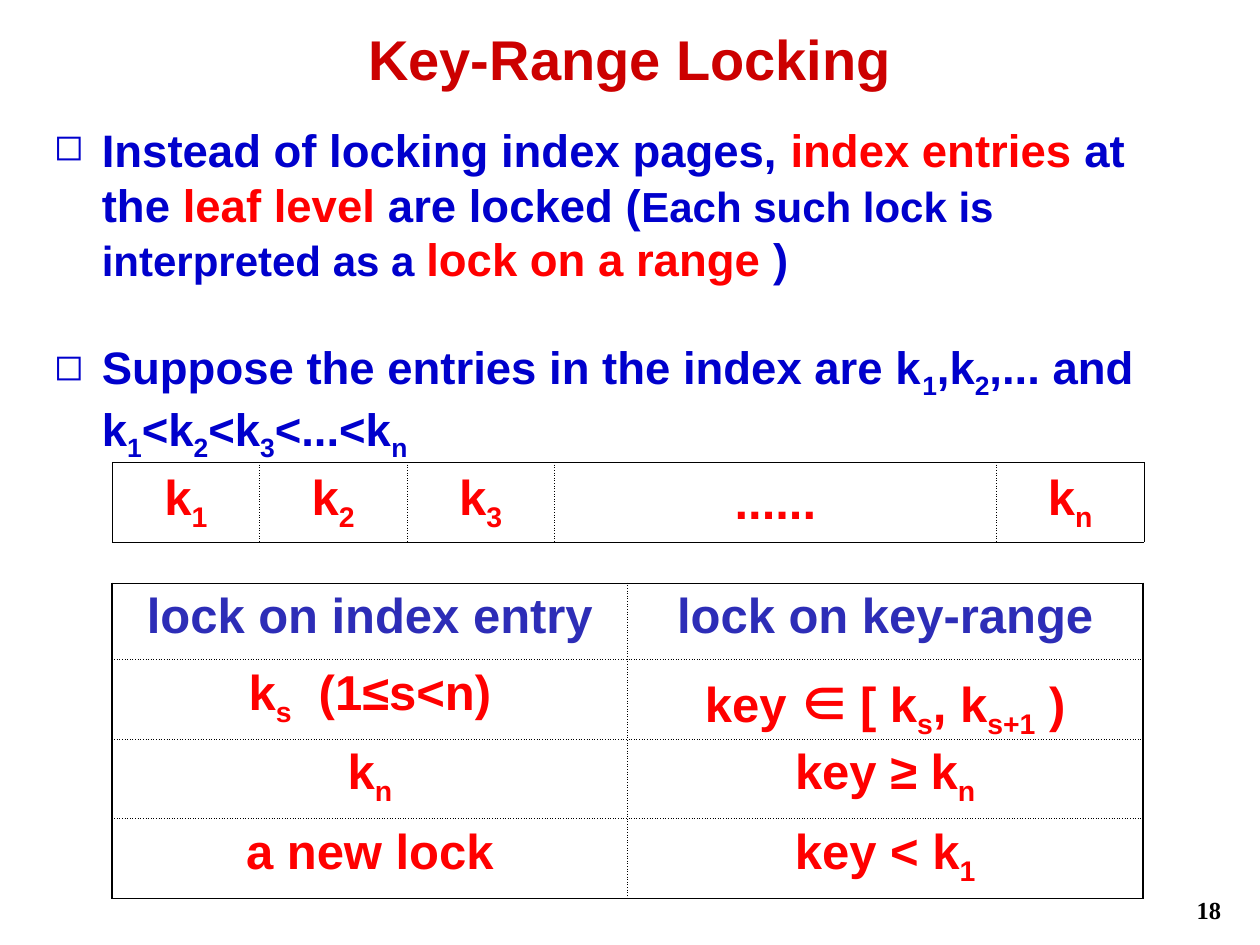
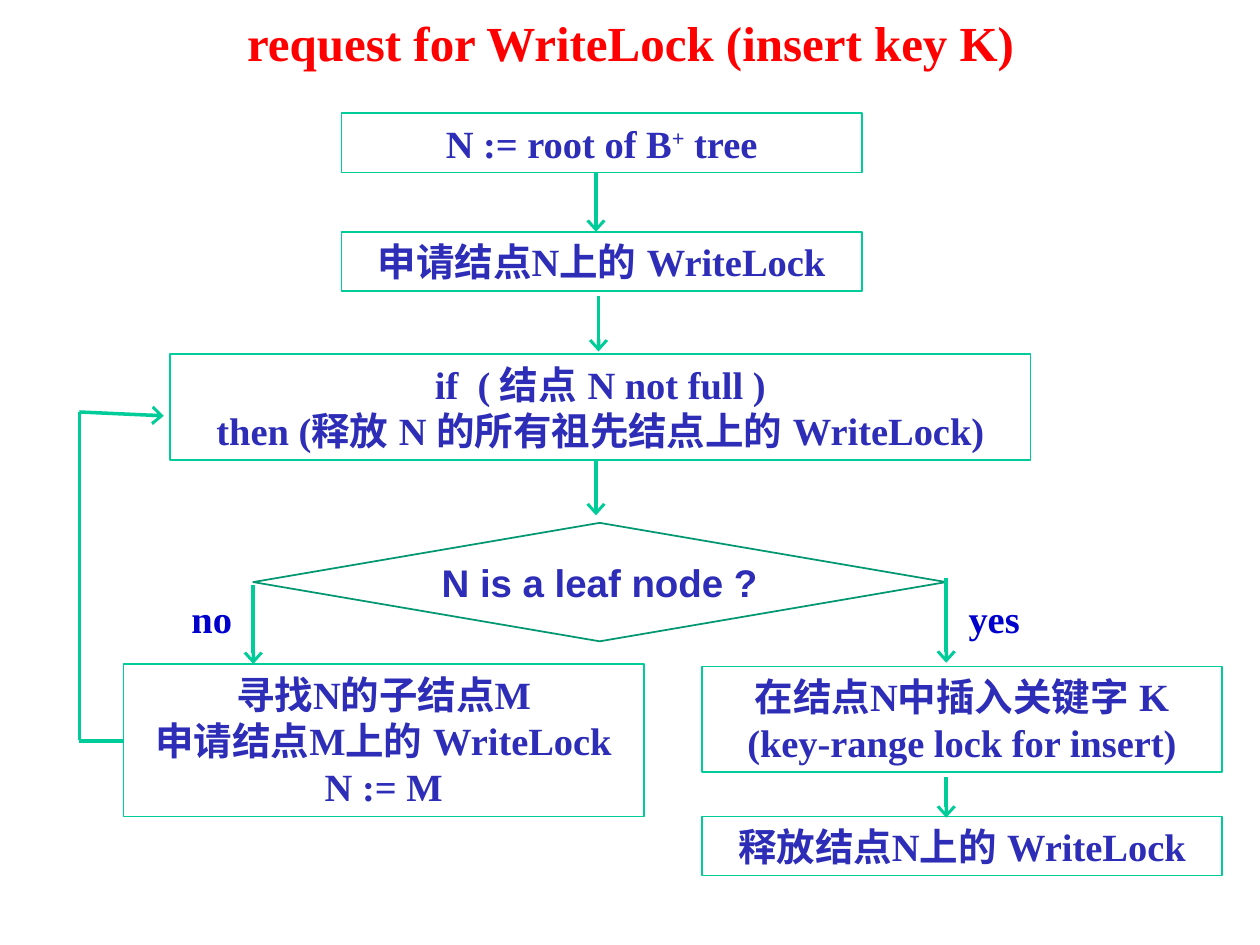
from lxml.etree import SubElement
from pptx import Presentation
from pptx.dml.color import RGBColor
from pptx.enum.shapes import MSO_CONNECTOR as Connector, MSO_SHAPE as Preset
from pptx.enum.text import MSO_ANCHOR as Anchor, MSO_AUTO_SIZE as AutoSize, PP_ALIGN as Align
from pptx.oxml.ns import qn
from pptx.util import Inches, Pt

# Shared look
SANS, SERIF, CJK = "Arial", "Times New Roman", "Noto Sans CJK SC"
BLACK, RED, DARK_RED = "000000", "FF0000", "CC0000"
BLUE, INDIGO, GREEN, DARK_GREEN = "0000CC", "2D2DB7", "00CC99", "009771"
SUBSCRIPT, SUPERSCRIPT = -25, 30
MEMBER_SIGN = "∈ "


def color(hex_value):
    return RGBColor.from_string(hex_value)


def inches(*lengths):
    return [Inches(length) for length in lengths]


# Text
def set_east_asian(run, face):
    SubElement(run.font._element, qn("a:ea"), typeface=face)


def add_runs(paragraph, text, shift=SUBSCRIPT):
    """Write text in which every second part between bars is raised or lowered."""
    runs = []
    for index, part in enumerate(text.split("|")):
        # The membership sign gets its own run in a face that has it
        for piece in filter(None, part.partition(MEMBER_SIGN)):
            run = paragraph.add_run()
            run.text = piece
            if index % 2:
                run.font._element.set("baseline", str(shift * 1000))
            if piece == MEMBER_SIGN:
                run.font.name = CJK
            set_east_asian(run, CJK if piece == MEMBER_SIGN else SANS)
            runs.append(run)
    return runs


def style(paragraph, size, face, hex_value, align=Align.CENTER):
    font = paragraph.font
    font.size, font.name, font.bold = Pt(size), face, True
    font.color.rgb = color(hex_value)
    paragraph.alignment = align


def write_lines(frame, lines, size, face, hex_value, align=Align.CENTER, shift=SUBSCRIPT):
    frame.word_wrap, frame.auto_size = True, AutoSize.NONE
    for index, line in enumerate(lines):
        paragraph = frame.add_paragraph() if index else frame.paragraphs[0]
        add_runs(paragraph, line, shift)
        style(paragraph, size, face, hex_value, align)


def add_label(slide, box, text, size, face, hex_value, align=Align.CENTER):
    label = slide.shapes.add_textbox(*inches(*box))
    write_lines(label.text_frame, [text], size, face, hex_value, align)


def set_title(slide, box, text, size, face, hex_value):
    title = slide.shapes.title
    title.left, title.top, title.width, title.height = inches(*box)
    title.text_frame.vertical_anchor = Anchor.MIDDLE
    write_lines(title.text_frame, [text], size, face, hex_value)


def add_bullet(slide, box, parts):
    """Parts are (text, size, colour)."""
    frame = slide.shapes.add_textbox(*inches(*box)).text_frame
    frame.word_wrap = True
    paragraph = frame.paragraphs[0]
    for text, size, hex_value in parts:
        for run in add_runs(paragraph, text):
            run.font.size, run.font.color.rgb = Pt(size), color(hex_value)
    style(paragraph, 26, SANS, BLUE, Align.LEFT)
    properties = paragraph._p.get_or_add_pPr()
    properties.set("marL", str(Inches(0.38)))
    properties.set("indent", str(-Inches(0.38)))
    defaults = properties.find(qn("a:defRPr"))
    defaults.addprevious(SubElement(properties, qn("a:buSzPct"), val="80000"))
    defaults.addprevious(SubElement(properties, qn("a:buChar"), char="◻"))


# Tables
def set_border(cell, side, width, dotted):
    line = SubElement(cell._tc.get_or_add_tcPr(), qn(f"a:ln{side}"), w=str(Pt(width)))
    fill = SubElement(line, qn("a:solidFill"))
    SubElement(fill, qn("a:srgbClr"), val=BLACK)
    SubElement(line, qn("a:prstDash"), val="sysDot" if dotted else "solid")


def add_lock_table(slide, box, rows, widths, outline, anchor, header_color=RED):
    """Solid outline, dotted inner lines; the first row may have its own colour."""
    table = slide.shapes.add_table(len(rows), len(widths), *inches(*box)).table
    table.first_row = table.horz_banding = False
    for column, width in zip(table.columns, widths):
        column.width = Inches(width)
    last_row, last_column = len(rows) - 1, len(widths) - 1
    for r, row in enumerate(rows):
        table.rows[r].height = Inches(box[3] / len(rows))
        for c, text in enumerate(row):
            cell = table.cell(r, c)
            outer = {"L": c == 0, "R": c == last_column, "T": r == 0, "B": r == last_row}
            for side, is_outer in outer.items():
                set_border(cell, side, outline if is_outer else 0.5, not is_outer)
            cell.fill.background()
            cell.vertical_anchor = anchor
            paragraph = cell.text_frame.paragraphs[0]
            add_runs(paragraph, text)
            style(paragraph, 28, SANS, RED if r else header_color)


# Flowchart parts
def add_step(slide, box, lines, preset=Preset.RECTANGLE, face=SERIF, outline=GREEN):
    step = slide.shapes.add_shape(preset, *inches(*box))
    step.shadow.inherit = False
    step.fill.background()
    step.line.color.rgb, step.line.width = color(outline), Pt(1)
    frame = step.text_frame
    frame.vertical_anchor = Anchor.MIDDLE
    if preset == Preset.DIAMOND:
        frame.margin_left = frame.margin_right = 0
    write_lines(frame, lines, 22, face, INDIGO, shift=SUPERSCRIPT)


def add_line(slide, start, end, arrow=True):
    line = slide.shapes.add_connector(Connector.STRAIGHT, *inches(*start, *end))
    line.line.color.rgb, line.line.width = color(GREEN), Pt(2)
    if arrow:
        SubElement(line.line._get_or_add_ln(), qn("a:tailEnd"), type="arrow", w="lg", len="med")
    SubElement(line._element.spPr, qn("a:effectLst"))


def add_flowchart(slide, left, top):
    def at(x, y):
        return left + x, top + y

    # Steps: x, y, width, lines
    steps = [
        (2.08, 0, 4.13, ["N := root of B|+| tree"]),
        (2.08, 0.94, 4.13, ["申请结点N上的 WriteLock"]),
        (0.72, 1.91, 6.83, ["if  ( 结点 N not full )",
                            "then (释放 N 的所有祖先结点上的 WriteLock)"]),
        (0.35, 4.37, 4.13, ["寻找N的子结点M", "申请结点M上的 WriteLock", "N := M"]),
        (4.94, 4.39, 4.13, ["在结点N中插入关键字 K", "(key-range lock for insert)"]),
        (4.94, 5.58, 4.13, ["释放结点N上的 WriteLock"]),
    ]
    for x, y, width, lines in steps:
        add_step(slide, (*at(x, y), width, 0.1 + 0.37 * len(lines)), lines)
    add_step(slide, (*at(1.38, 3.25), 5.5, 0.94), ["N is a leaf node ?"],
             Preset.DIAMOND, SANS, DARK_GREEN)

    # Downward arrows: x, start y, end y
    for x, start, end in [(4.1, 0.47, 0.94), (4.12, 1.45, 1.89), (4.1, 2.75, 3.19),
                          (1.38, 3.74, 4.37), (6.88, 3.69, 4.36), (6.88, 5.27, 5.59)]:
        add_line(slide, at(x, start), at(x, end))

    # Loop back to the check
    add_line(slide, at(0, 4.98), at(0.35, 4.98), arrow=False)
    add_line(slide, at(0, 2.37), at(0, 4.97), arrow=False)
    add_line(slide, at(0, 2.37), at(0.67, 2.4))

    # Branch labels
    for answer, x in [("no", 0.56), ("yes", 6.77)]:
        add_label(slide, (*at(x, 3.77), 0.98, 0.47), answer, 22, SERIF, BLUE)


# Slides
def build_key_range_slide(slide):
    set_title(slide, (0.75, 0.14, 8.5, 0.64), "Key-Range Locking", 32, SANS, DARK_RED)
    add_bullet(slide, (0.33, 0.92, 9.25, 1.41), [
        ("Instead of locking index pages, ", 26, BLUE),
        ("index entries", 26, RED),
        (" at the ", 26, BLUE),
        ("leaf level", 26, RED),
        (" are locked (", 26, BLUE),
        ("Each such lock is interpreted as a ", 24, BLUE),
        ("lock on a range", 26, RED),
        (" )", 26, BLUE),
    ])
    add_bullet(slide, (0.33, 2.64, 9.25, 0.97), [
        ("Suppose the entries in the index are k|1|,k|2|,... and k|1|<k|2|<k|3|<...<k|n|", 26, BLUE),
    ])
    key_width = 1.17
    add_lock_table(slide, (0.89, 3.67, 8.18, 0.57),
                   [["k|1|", "k|2|", "k|3|", "......", "k|n|"]],
                   [key_width] * 3 + [3 * key_width, key_width], 0.5, Anchor.MIDDLE)
    add_lock_table(slide, (0.89, 4.63, 8.18, 2.42), [
        ["lock on index entry", "lock on key-range"],
        ["k|s|  (1≤s<n)", "key ∈ [ k|s|, k|s+1| )"],
        ["k|n|", "key ≥ k|n|"],
        ["a new lock", "key < k|1|"],
    ], [4.09, 4.09], 1, Anchor.TOP, INDIGO)
    add_label(slide, (8.76, 7.05, 1.03, 0.31), "18", 14, SERIF, BLACK, Align.RIGHT)


def build_write_lock_slide(slide):
    set_title(slide, (0.17, 0.05, 9.67, 0.57), "request for WriteLock (insert key K)",
              28, SERIF, RED)
    add_flowchart(slide, 0.63, 0.9)


def main():
    deck = Presentation()
    deck.slide_width, deck.slide_height = inches(10, 7.5)
    title_only = deck.slide_layouts[5]
    for build in (build_key_range_slide, build_write_lock_slide):
        build(deck.slides.add_slide(title_only))
    deck.save("out.pptx")


if __name__ == "__main__":
    main()
